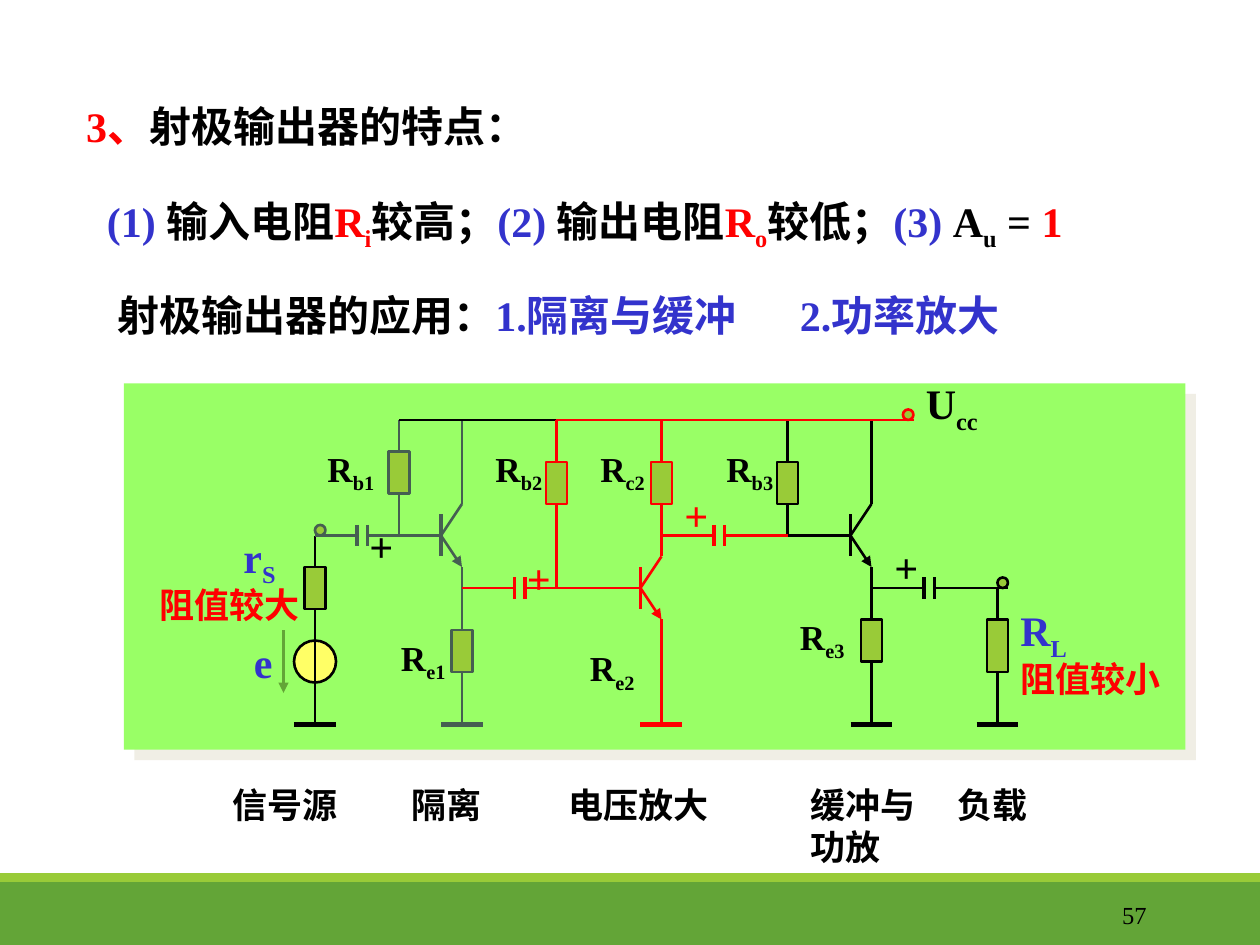
from pptx import Presentation
from pptx.dml.color import RGBColor
from pptx.enum import shapes, text
from pptx.oxml import parse_xml
from pptx.oxml.ns import nsdecls
from pptx.util import Cm, Pt

THEME = {
    "black": "000000", "red": "FF0000", "blue": "3333CC", "slate": "455F51",
    "leaf": "99CB38", "green": "63A537", "panel": "99FF66", "yellow": "FFFF66",
    "shadow": "E2DFCC", "serif": "Times New Roman", "sans": "Arial",
    "cjk": "Noto Sans CJK SC", "large": 24, "label": 20, "page": 14,
    "wire": 1.5, "plate": 2.25, "ground": 3,
}
GRID = 2.54 / 12  # circuit grid step in cm; all positions count these steps
RAIL, GROUND = 40, 69

# Runs: (text, colour, font, subscript)
TITLE = [("3、", "red", "serif", False), ("射极输出器的特点：", "black", "sans", False)]
FEATURES = [
    ("(1) ", "blue", "serif", False), ("输入电阻", "black", "sans", False),
    ("R", "red", "serif", False), ("i", "red", "serif", True),
    ("较高；", "black", "sans", False),
    ("(2) ", "blue", "serif", False), ("输出电阻", "black", "sans", False),
    ("R", "red", "serif", False), ("o", "red", "serif", True),
    ("较低；", "black", "sans", False),
    ("(3) ", "blue", "serif", False), ("A", "black", "serif", False),
    ("u", "black", "serif", True), (" = ", "black", "serif", False),
    ("1", "red", "serif", False),
]

# Plain texts: (text, x, y, width, size, colour, font)
TEXTS = [
    ("射极输出器的应用：", 10, 27, 47, "large", "black", "cjk"),
    ("1.隔离与缓冲", 46, 27, 29, "large", "blue", "serif"),
    ("2.功率放大", 75, 27, 27, "large", "blue", "serif"),
    ("e", 23, 60, 5, "large", "blue", "serif"),
    ("阻值较大", 14, 55, 16, "label", "red", "serif"),
    ("阻值较小", 96, 62, 17, "label", "red", "serif"),
    ("+", 34, 49, 4, "large", "black", "serif"),
    ("+", 84, 51, 5, "large", "black", "serif"),
    ("+", 49, 52, 5, "large", "red", "serif"),
    ("+", 64, 46, 5, "large", "red", "serif"),
]
CAPTIONS = [("信号源", 21, 16), ("隔离", 38, 10), ("电压放大", 53, 18),
            ("缓冲与功放", 76, 14), ("负载", 90, 12)]

# Symbols with subscript: (letter, subscript, x, y, size, colour)
SYMBOLS = [
    ("r", "S", 22, 50, "large", "blue"), ("R", "L", 96, 57, "large", "blue"),
    ("U", "cc", 87, 35.4, "large", "black"),
    ("R", "b1", 30, 42, "label", "black"), ("R", "b2", 46, 42, "label", "black"),
    ("R", "c2", 56, 42, "label", "black"), ("R", "b3", 68, 42, "label", "black"),
    ("R", "e1", 37, 60, "label", "black"), ("R", "e2", 55, 61, "label", "black"),
    ("R", "e3", 75, 58, "label", "black"),
]

# Stages: wires (x1, y1, x2, y2), transistor base, grounds (centre x),
# capacitors (x, y), resistors (centre x, top, height), terminals (x, y)
STAGES = [
    dict(color="black", wires=[(30, 51, 30, GROUND)], grounds=[30],
         resistors=[(30, 54, 4)]),
    dict(color="black", wires=[(95, 56, 95, GROUND)], grounds=[95],
         resistors=[(95, 59, 5)]),
    dict(color="slate", base=(42, 51), capacitors=[(34, 51)],
         wires=[(30, 51, 34, 51), (35, 51, 42, 51), (38, 51, 38, RAIL)],
         resistors=[(38, 43, 4), (44, 60, 4)], terminals=[(30, 50)]),
    dict(color="black", base=(81, 51), capacitors=[(88, 56)],
         wires=[(38, RAIL, 53, RAIL), (83, 56, 88, 56), (89, 56, 96, 56),
                (75, 51, 75, RAIL), (75, 51, 81, 51)],
         resistors=[(75, 44, 4), (83, 59, 4)], terminals=[(95, 55)]),
    dict(color="red", base=(61, 56), capacitors=[(49, 56), (68, 51)],
         wires=[(53, RAIL, 87, RAIL), (44, 56, 49, 56), (50, 56, 61, 56),
                (53, 56, 53, RAIL), (63, 51, 68, 51), (69, 51, 75, 51)],
         resistors=[(53, 44, 4), (63, 44, 4)], terminals=[(86, 39)]),
]


def g(n):
    return Cm(n * GRID)


def rgb(name):
    return RGBColor.from_string(THEME[name])


def add_box(kind, x, y, w, h, fill, line=None):
    sp = slide.shapes.add_shape(kind, g(x), g(y), g(w), g(h))
    sp.shadow.inherit = False
    sp.fill.solid()
    sp.fill.fore_color.rgb = rgb(fill)
    if line:
        sp.line.color.rgb = rgb(line)
        sp.line.width = Pt(THEME["wire"])
    else:
        sp.line.fill.background()
    return sp


def add_wire(x1, y1, x2, y2, color, weight="wire", arrow=False):
    c = slide.shapes.add_connector(shapes.MSO_CONNECTOR.STRAIGHT,
                                   g(x1), g(y1), g(x2), g(y2))
    c.line.color.rgb = rgb(color)
    c.line.width = Pt(THEME[weight])
    if arrow:
        c.line._get_or_add_ln().append(
            parse_xml(f'<a:tailEnd {nsdecls("a")} type="triangle"/>'))
    c._element.spPr.append(parse_xml(f'<a:effectLst {nsdecls("a")}/>'))


def write(sp, runs, size, bold=True, align=text.PP_ALIGN.LEFT,
          anchor=text.MSO_ANCHOR.TOP):
    tf = sp.text_frame
    tf.word_wrap = True
    tf.auto_size = text.MSO_AUTO_SIZE.NONE
    tf.vertical_anchor = anchor
    p = tf.paragraphs[0]
    p.alignment = align
    for content, color, font, subscript in runs:
        r = p.add_run()
        r.text = content
        r.font.size, r.font.bold = Pt(THEME[size]), bold
        r.font.color.rgb = rgb(color)
        r.font.name = THEME[font]
        rpr = r._r.get_or_add_rPr()
        rpr.append(parse_xml(f'<a:ea {nsdecls("a")} typeface="{THEME["cjk"]}"/>'))
        if subscript:
            rpr.set("baseline", "-25000")


def add_text(runs, x, y, w, size, h=6, **style):
    write(slide.shapes.add_textbox(g(x), g(y), g(w), g(h)), runs, size, **style)


def add_ground(x, color):
    add_wire(x - 2, GROUND, x + 2, GROUND, color, "ground")


def add_transistor(x, y, color):
    add_wire(x, y - 2, x, y + 2, color, "plate")
    add_wire(x, y, x + 2, y - 3, color)
    add_wire(x, y, x + 2, y + 3, color, arrow=True)
    add_wire(x + 2, y - 3, x + 2, RAIL, color)
    add_wire(x + 2, y + 3, x + 2, GROUND, color)
    add_ground(x + 2, color)


def add_stage(color, wires, base=None, grounds=(), capacitors=(),
              resistors=(), terminals=()):
    for wire in wires:
        add_wire(*wire, color)
    if base:
        add_transistor(*base, color)
    for x in grounds:
        add_ground(x, color)
    for x, y in capacitors:
        for plate in (x, x + 1):
            add_wire(plate, y - 1, plate, y + 1, color, "plate")
    for x, y, h in resistors:
        add_box(RECT, x - 1, y, 2, h, "leaf", color)
    for x, y in terminals:
        add_box(OVAL, x, y, 1, 1, "leaf", color)


RECT, OVAL = shapes.MSO_SHAPE.RECTANGLE, shapes.MSO_SHAPE.OVAL
prs = Presentation()
prs.slide_width, prs.slide_height = g(120), g(90)
slide = prs.slides.add_slide(prs.slide_layouts[5])

# Footer bars and page number
add_box(RECT, 0, 84, 120, 6, "green")
add_box(RECT, 0, 83.15, 120, 0.85, "leaf")
add_text([("57", "black", "serif", False)], 97.4, 84.7, 13, "page", h=4.8, bold=False,
         align=text.PP_ALIGN.RIGHT, anchor=text.MSO_ANCHOR.MIDDLE)

# Title and feature line
title = slide.shapes.title
title.left, title.top, title.width, title.height = g(7), g(9), g(64), g(6)
write(title, TITLE, "large")
add_text(FEATURES, 9, 18, 103, "large")

# Circuit panel with an offset shadow
panel = add_box(RECT, 11.8, 36.5, 101.1, 34.9, "panel")
panel._element.spPr.find("{*}effectLst").append(parse_xml(
    f'<a:outerShdw {nsdecls("a")} dist="{Pt(8.5)}" dir="2700000" algn="ctr" rotWithShape="0">'
    f'<a:srgbClr val="{THEME["shadow"]}"><a:alpha val="50000"/></a:srgbClr></a:outerShdw>'))

# Circuit: source, then the stages
add_box(OVAL, 28, 61, 4, 4, "yellow", "black")
add_wire(27, 60, 27, 66, "green", arrow=True)
for stage in STAGES:
    add_stage(**stage)

# Labels and captions
for letter, sub, x, y, size, color in SYMBOLS:
    add_text([(letter, color, "serif", False), (sub, color, "serif", True)], x, y, 8, size)
for content, x, y, w, size, color, font in TEXTS:
    add_text([(content, color, font, False)], x, y, w, size)
for content, x, w in CAPTIONS:
    add_text([(content, "black", "serif", False)], x, 74, w, "label")

prs.save("out.pptx")
